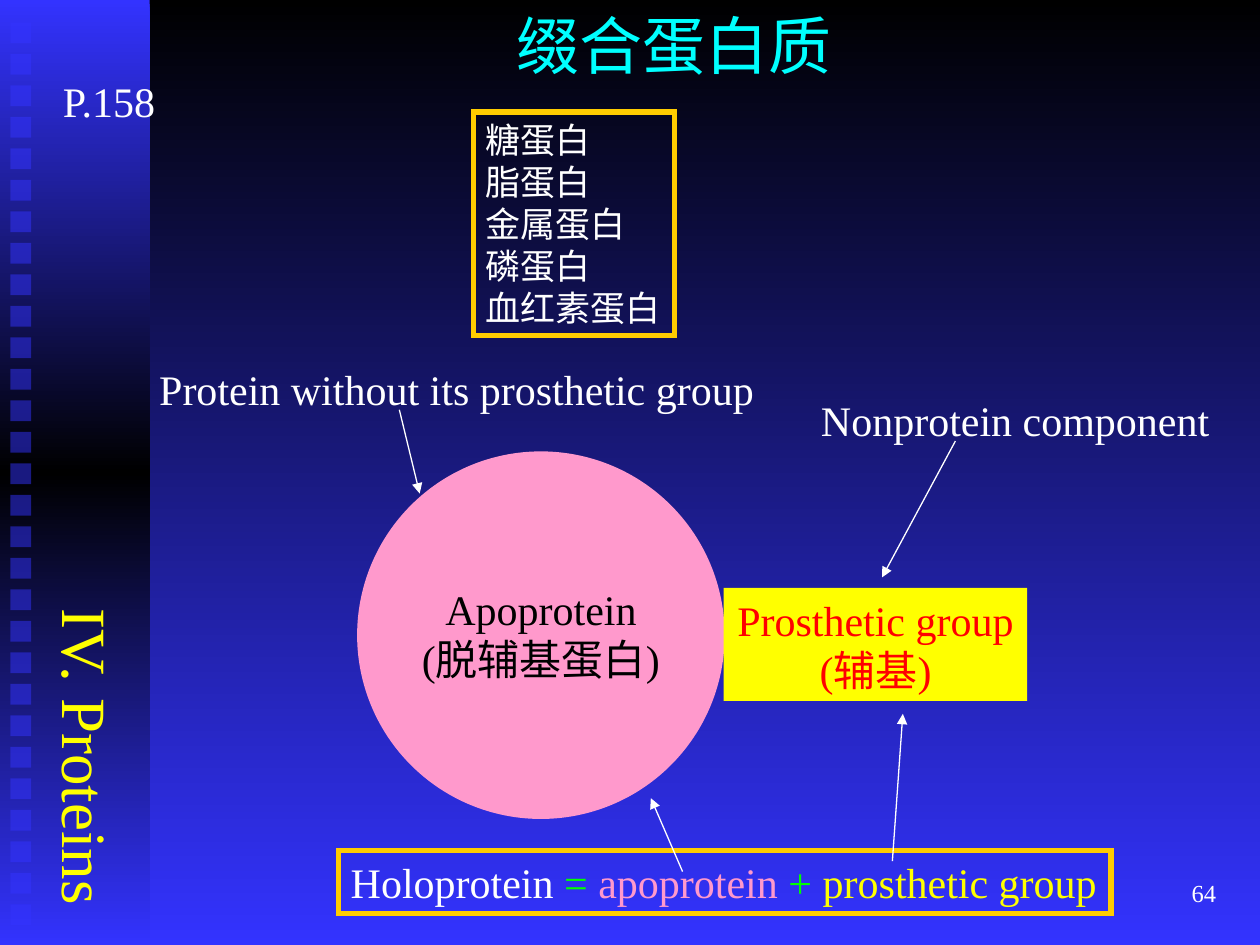
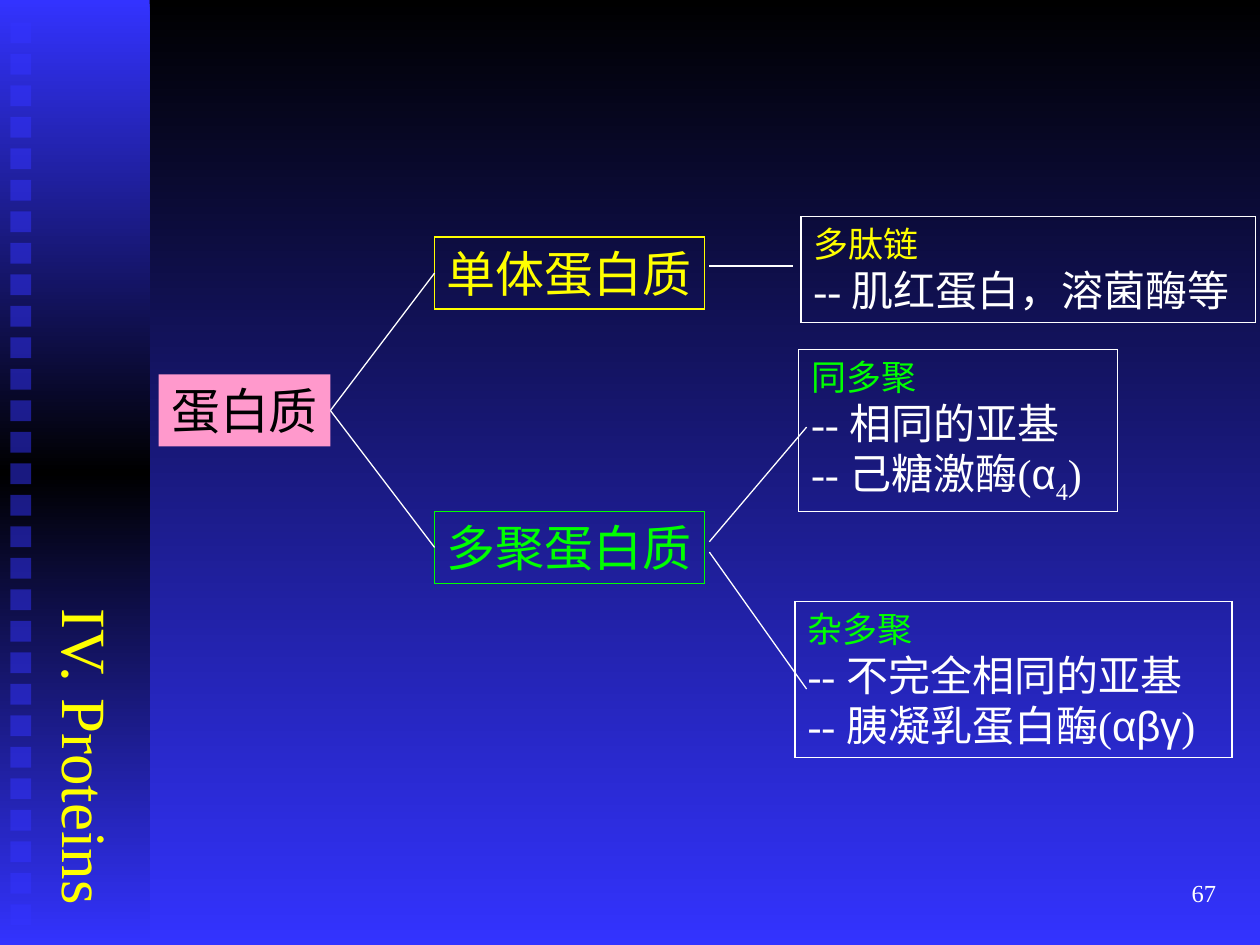
"""Build two slides on conjugated and oligomeric proteins."""
from dataclasses import dataclass
from typing import NamedTuple

from lxml import etree
from pptx import Presentation
from pptx.dml.color import RGBColor
from pptx.enum.shapes import MSO_CONNECTOR, MSO_SHAPE
from pptx.enum.text import MSO_ANCHOR, MSO_AUTO_SIZE, PP_ALIGN
from pptx.oxml.ns import qn
from pptx.util import Cm, Pt

RECT, OVAL = MSO_SHAPE.RECTANGLE, MSO_SHAPE.OVAL
STRAIGHT = MSO_CONNECTOR.STRAIGHT
TOP, MIDDLE = MSO_ANCHOR.TOP, MSO_ANCHOR.MIDDLE
LEFT, CENTER, RIGHT = PP_ALIGN.LEFT, PP_ALIGN.CENTER, PP_ALIGN.RIGHT
FIT, FIXED = MSO_AUTO_SIZE.SHAPE_TO_FIT_TEXT, MSO_AUTO_SIZE.NONE

BLACK, WHITE, BLUE = "000000", "FFFFFF", "3333FF"
YELLOW, GREEN, PINK = "FFFF00", "00FF00", "FF99CC"
GOLD, RED, CYAN = "FFCC00", "FF0000", "00FFFF"
SERIF, SANS = "Times New Roman", "Arial"
SQUARES = 29


class Run(NamedTuple):
    """Piece of a line, with what differs from its box."""
    text: str
    ink: str = ""
    size: float = 0
    font: str = SERIF
    sub: bool = False


class Area(NamedTuple):
    """Left, top, width and height in centimetres."""
    left: float
    top: float
    width: float
    height: float


class Line(NamedTuple):
    """Straight line between two points in centimetres."""
    start: tuple[float, float]
    end: tuple[float, float]
    arrow: bool = False


@dataclass
class Box:
    """Text on an area, with an optional fill and edge."""
    area: Area
    lines: list[list[Run]]
    size: float = 24
    ink: str = WHITE
    fill: str = ""
    edge: str = ""
    weight: float = 0.75
    align: PP_ALIGN = LEFT


def shade(code: str) -> RGBColor:
    """Turn a hex string into a colour."""
    return RGBColor.from_string(code)


def place(area: Area) -> list[Cm]:
    """Turn an area into lengths."""
    return [Cm(side) for side in area]


def grade(host, fill, codes: list[str]) -> None:
    """Give a fill a downward gradient of evenly spread colours."""
    fill.gradient()
    fill.gradient_angle = 270
    stops = next(host.element.iter(qn("a:gsLst")))
    stops.clear()
    for i, code in enumerate(codes):
        stop = etree.SubElement(stops, qn("a:gs"), pos=str(100000 * i // (len(codes) - 1)))
        etree.SubElement(stop, qn("a:srgbClr"), val=code)


def add_form(shapes, kind, area: Area, fill: str = "", edge: str = "", weight: float = 0.75):
    """Add a preset shape with square corners and no shadow."""
    form = shapes.add_shape(kind, *place(area))
    form.shadow.inherit = False
    if fill:
        form.fill.solid()
        form.fill.fore_color.rgb = shade(fill)
    else:
        form.fill.background()
    if edge:
        form.line.color.rgb = shade(edge)
        form.line.width = Pt(weight)
        etree.SubElement(form.line._get_or_add_ln(), qn("a:miter"), lim="800000")
    else:
        form.line.fill.background()
    return form


def write(shape, lines: list[list[Run]], *, size: float = 24, ink: str = WHITE,
          align: PP_ALIGN = LEFT, anchor: MSO_ANCHOR = TOP, wrap: bool = False) -> None:
    """Write lines of runs into a shape."""
    frame = shape.text_frame
    frame.word_wrap = wrap
    frame.auto_size = FIXED if wrap else FIT
    frame.vertical_anchor = anchor
    for i, runs in enumerate(lines):
        para = frame.add_paragraph() if i else frame.paragraphs[0]
        para.alignment = align
        for part in runs:
            run = para.add_run()
            run.text = part.text
            run.font.name = part.font
            run.font.size = Pt(part.size or size)
            run.font.color.rgb = shade(part.ink or ink)
            if part.sub:
                run._r.get_or_add_rPr().set("baseline", "-25000")


def add_box(slide, box: Box):
    """Draw a box, framed or bare."""
    if box.fill or box.edge:
        shape = add_form(slide.shapes, RECT, box.area, box.fill, box.edge, box.weight)
    else:
        shape = slide.shapes.add_textbox(*place(box.area))
    write(shape, box.lines, size=box.size, ink=box.ink, align=box.align)
    return shape


def add_line(slide, line: Line):
    """Draw a thin white line, with an arrowhead if wanted."""
    link = slide.shapes.add_connector(STRAIGHT, *place(line.start + line.end))
    link.line.color.rgb = shade(WHITE)
    link.line.width = Pt(0.75)
    if line.arrow:
        etree.SubElement(link.line._get_or_add_ln(), qn("a:tailEnd"), type="triangle")
    etree.SubElement(link.element.spPr, qn("a:effectLst"))
    return link


def join(slide, root, leaf) -> None:
    """Link the right side of one box to the left side of another."""
    link = add_line(slide, Line((0, 0), (0, 0)))
    link.begin_connect(root, 3)
    link.end_connect(leaf, 1)


def add_slide(deck, number: str):
    """Add a slide with the backdrop, side band, chapter and number."""
    slide = deck.slides.add_slide(deck.slide_layouts[6])
    grade(slide, slide.background.fill, [BLACK, BLUE])
    group = slide.shapes.add_group_shape()
    band = add_form(group.shapes, RECT, Area(0, 0, 3.02, 19.05))
    grade(band, band.fill, [BLUE, BLACK, BLUE])
    for i in range(SQUARES):
        top = 0.45 + 17.78 * i / (SQUARES - 1)
        square = add_form(group.shapes, RECT, Area(0.21, top, 0.42, 0.42), BLUE)
        tint = next(square.element.iter(qn("a:srgbClr")))
        etree.SubElement(tint, qn("a:alpha"), val="50000")
    page = slide.shapes.add_textbox(*place(Area(19.48, 17.36, 5.29, 1.27)))
    write(page, [[Run(number)]], size=14, align=RIGHT, anchor=MIDDLE, wrap=True)
    side = Box(Area(0.64, 12.02, 2.03, 6.4), [[Run("IV. Proteins")]], 36, YELLOW)
    frame = add_box(slide, side).text_frame
    frame.margin_left = frame.margin_right = Cm(0.13)
    frame.margin_top = frame.margin_bottom = Cm(0.25)
    frame._txBody.bodyPr.set("vert", "eaVert")
    return slide


def draw_whole(deck) -> None:
    """Show a conjugated protein and its two parts."""
    slide = add_slide(deck, "64")
    add_form(slide.shapes, OVAL, Area(7.2, 9.1, 7.41, 7.41), PINK)
    kinds = ["糖蛋白", "脂蛋白", "金属蛋白", "磷蛋白", "血红素蛋白"]
    sum_up = [Run("Holoprotein"), Run(" = ", GREEN), Run("apoprotein", PINK),
              Run(" + ", GREEN), Run("prosthetic group", YELLOW)]
    boxes = [
        Box(Area(8.05, 11.64, 5.71, 2.28), [[Run("Apoprotein")], [Run("(脱辅基蛋白)")]],
            ink=BLACK, align=CENTER),
        Box(Area(14.59, 11.85, 6.12, 2.28), [[Run("Prosthetic group")], [Run("(辅基)")]],
            ink=RED, fill=YELLOW, align=CENTER),
        Box(Area(6.82, 17.14, 15.58, 1.27), [sum_up], edge=GOLD, weight=3),
        Box(Area(2.96, 7.2, 12.5, 1.27), [[Run("Protein without its prosthetic group")]]),
        Box(Area(16.3, 7.83, 8.34, 1.27), [[Run("Nonprotein component")]]),
        Box(Area(9.54, 2.26, 4.06, 4.5), [[Run(kind)] for kind in kinds], 20,
            edge=GOLD, weight=3),
        Box(Area(10.16, 0, 6.86, 1.78), [[Run("缀合蛋白质")]], 36, CYAN),
        Box(Area(1.02, 1.4, 2.46, 1.27), [[Run("P.158")]]),
    ]
    for box in boxes:
        add_box(slide, box)
    for line in [
        Line((8.05, 8.26), (8.46, 9.95), True),
        Line((19.26, 8.89), (17.78, 11.64), True),
        Line((13.76, 17.57), (13.12, 16.09), True),
        Line((17.99, 17.36), (18.2, 14.39), True),
    ]:
        add_line(slide, line)


def draw_tree(deck) -> None:
    """Show the tree of single-chain and many-chain proteins."""
    slide = add_slide(deck, "67")
    root = add_box(slide, Box(Area(3.2, 7.55, 3.46, 1.45), [[Run("蛋白质")]], 28, BLACK, PINK))
    for top, name, hue in [(4.78, "单体蛋白质", YELLOW), (10.31, "多聚蛋白质", GREEN)]:
        leaf = add_box(slide, Box(Area(8.76, top, 5.44, 1.45), [[Run(name)]], 28, hue, edge=hue))
        join(slide, root, leaf)
    notes = [
        (Area(16.1, 7.04, 6.43, 3.28), Run("同多聚", GREEN, 20),
         [[Run("-- 相同的亚基")],
          [Run("-- 己糖激酶("), Run("α", font=SANS), Run("4", sub=True), Run(")")]]),
        (Area(16.03, 12.12, 8.81, 3.15), Run("杂多聚", GREEN, 20),
         [[Run("-- 不完全相同的亚基")],
          [Run("-- 胰凝乳蛋白酶("), Run("αβγ", font=SANS), Run(")")]]),
        (Area(16.15, 4.37, 9.16, 2.13), Run("多肽链", YELLOW, 20),
         [[Run("-- 肌红蛋白，溶菌酶等")]]),
    ]
    for area, head, facts in notes:
        add_box(slide, Box(area, [[head], *facts], edge=WHITE))
    for line in [
        Line((14.3, 10.92), (16.26, 8.61)),
        Line((14.3, 11.13), (16.26, 13.89)),
        Line((14.3, 5.36), (15.98, 5.36)),
    ]:
        add_line(slide, line)


def main() -> None:
    """Build and save the deck."""
    deck = Presentation()
    deck.slide_width, deck.slide_height = Cm(25.4), Cm(19.05)
    draw_whole(deck)
    draw_tree(deck)
    deck.save("out.pptx")


if __name__ == "__main__":
    main()
